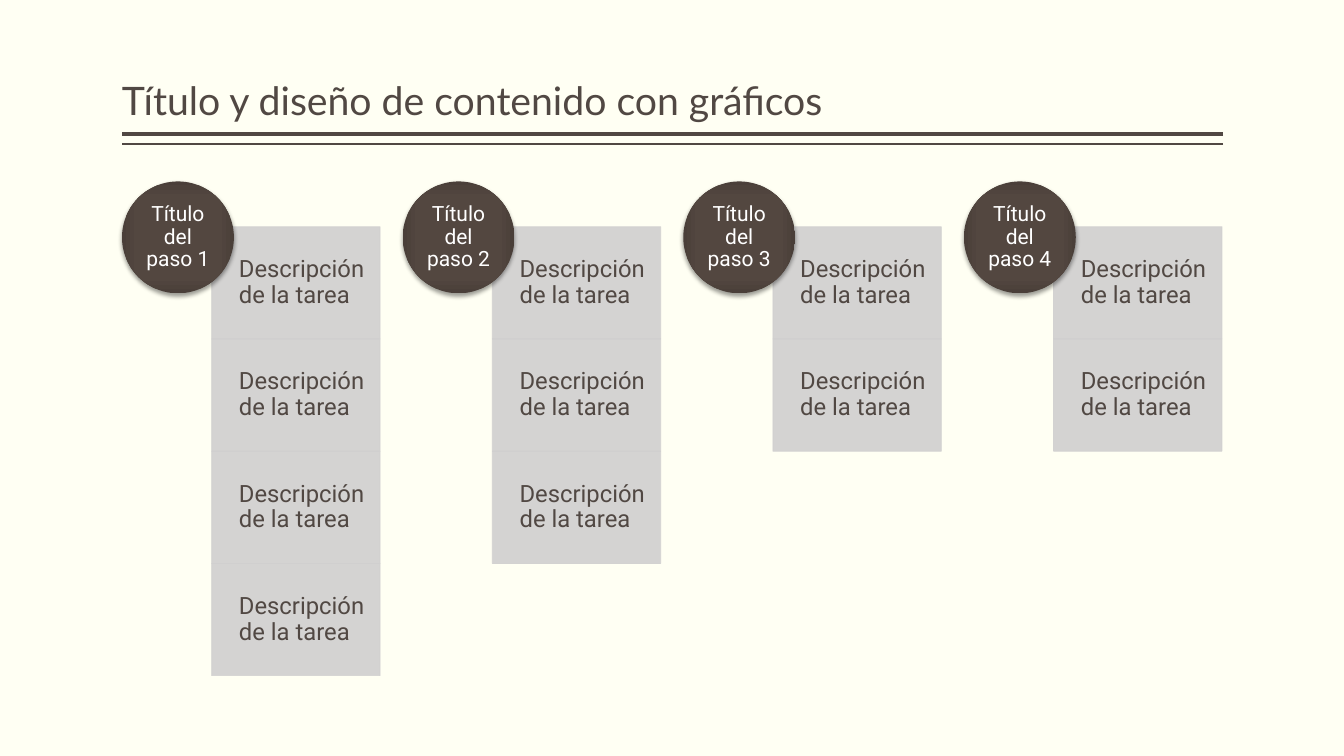
from lxml.etree import SubElement
from pptx import Presentation
from pptx.dml.color import RGBColor
from pptx.enum.shapes import MSO_CONNECTOR, MSO_SHAPE
from pptx.enum.text import MSO_ANCHOR, PP_ALIGN
from pptx.oxml import parse_xml
from pptx.oxml.ns import nsdecls, qn
from pptx.util import Inches, Pt

COLORS = {
    "background": "FFFFF3",
    "ink": "514843",
    "card": "D0CFCF",
    "circle_text": "FFFFFF",
    "shadow": "000000",
}
CIRCLE_GRADIENT = [(0, "544740"), (71, "534740"), (100, "4A3F39")]

LEFT, RIGHT = 1.21, 12.13
STEP_PITCH = (9.56 - LEFT) / 3
CIRCLE_TOP, CIRCLE_SIZE = 1.8, 1.11
CARD_OFFSET, CARD_TOP, CARD_WIDTH = 0.89, 2.25, 1.67
CARD_HEIGHT = (5.59 - CARD_TOP) / 3

TASKS_PER_STEP = [4, 3, 2, 2]
TASK_TEXT = "Descripción de la tarea"

# Margins are in inches: left, top, right, bottom
TITLE_FORMAT = {
    "font": {"name": "Lato", "size": Pt(28)},
    "color": "ink",
    "paragraph": {"alignment": PP_ALIGN.LEFT, "line_spacing": 0.9},
    "anchor": MSO_ANCHOR.BOTTOM,
    "margins": (0, 0.05, 0, 0.05),
}
CARD_FORMAT = {
    "font": {"name": "Roboto", "size": Pt(17)},
    "color": "ink",
    "paragraph": {"alignment": PP_ALIGN.LEFT, "line_spacing": 0.9},
    "anchor": MSO_ANCHOR.MIDDLE,
    "margins": (0.27, 0.13, 0.13, 0.13),
}
CIRCLE_FORMAT = {
    "font": {"name": "Roboto", "size": Pt(15)},
    "color": "circle_text",
    "paragraph": {"alignment": PP_ALIGN.CENTER, "line_spacing": 0.9},
    "anchor": MSO_ANCHOR.MIDDLE,
    "margins": (0, 0, 0, 0),
}


def rgb(name):
    return RGBColor.from_string(COLORS[name])


def set_attributes(target, values):
    for name, value in values.items():
        setattr(target, name, value)


def write_text(shape, text, text_format):
    frame = shape.text_frame
    sides = ("margin_left", "margin_top", "margin_right", "margin_bottom")
    margins = map(Inches, text_format["margins"])
    set_attributes(frame, dict(zip(sides, margins)))
    set_attributes(frame, {"word_wrap": True,
                           "vertical_anchor": text_format["anchor"]})
    paragraph = frame.paragraphs[0]
    set_attributes(paragraph, text_format["paragraph"])
    run = paragraph.add_run()
    run.text = text
    set_attributes(run.font, text_format["font"])
    run.font.color.rgb = rgb(text_format["color"])


def add_plain_shape(slide, kind, left, top, width, height):
    shape = slide.shapes.add_shape(
        kind, Inches(left), Inches(top), Inches(width), Inches(height))
    shape.shadow.inherit = False
    return shape


def add_title(slide, text):
    box = slide.shapes.add_textbox(
        Inches(LEFT), Inches(0.08), Inches(RIGHT - LEFT), Inches(1.2))
    write_text(box, text, TITLE_FORMAT)


def add_rule(slide, top, weight):
    rule = slide.shapes.add_connector(
        MSO_CONNECTOR.STRAIGHT,
        Inches(RIGHT), Inches(top), Inches(LEFT), Inches(top))
    rule.line.color.rgb = rgb("ink")
    rule.line.width = Pt(weight)
    SubElement(rule._element.spPr, qn("a:effectLst"))


def add_card(slide, left, top):
    card = add_plain_shape(
        slide, MSO_SHAPE.RECTANGLE, left, top, CARD_WIDTH, CARD_HEIGHT)
    card.fill.solid()
    card.fill.fore_color.rgb = rgb("card")
    card.line.color.rgb = rgb("card")
    card.line.width = Pt(0.5)
    # Fill and outline are both 90 % opaque
    for color in card._element.spPr.iter(qn("a:srgbClr")):
        SubElement(color, qn("a:alpha"), val="90000")
    write_text(card, TASK_TEXT, CARD_FORMAT)


def apply_circle_gradient(shape):
    stops = "".join(
        f'<a:gs pos="{position * 1000}"><a:srgbClr val="{color}"/></a:gs>'
        for position, color in CIRCLE_GRADIENT)
    gradient = parse_xml(
        f'<a:gradFill {nsdecls("a")} rotWithShape="1">'
        f'<a:gsLst>{stops}</a:gsLst><a:path path="rect">'
        '<a:fillToRect l="50000" t="50000" r="50000" b="50000"/>'
        '</a:path></a:gradFill>')
    shape.fill.background()
    properties = shape._element.spPr
    properties.replace(properties.find(qn("a:noFill")), gradient)


def apply_soft_shadow(shape):
    effects = shape._element.spPr.find(qn("a:effectLst"))
    shadow = SubElement(
        effects, qn("a:outerShdw"), blurRad=str(Pt(3.1)), dist=str(Pt(2)),
        dir="5400000", algn="ctr", rotWithShape="0")
    color = SubElement(shadow, qn("a:srgbClr"), val=COLORS["shadow"])
    SubElement(color, qn("a:alpha"), val="38000")


def add_circle(slide, left, text):
    circle = add_plain_shape(
        slide, MSO_SHAPE.OVAL, left, CIRCLE_TOP, CIRCLE_SIZE, CIRCLE_SIZE)
    apply_circle_gradient(circle)
    circle.line.fill.background()
    apply_soft_shadow(circle)
    write_text(circle, text, CIRCLE_FORMAT)


def add_step(slide, index, task_count):
    left = LEFT + index * STEP_PITCH
    for row in range(task_count):
        add_card(slide, left + CARD_OFFSET, CARD_TOP + row * CARD_HEIGHT)
    add_circle(slide, left, f"Título del paso {index + 1}")


def main():
    presentation = Presentation()
    presentation.slide_width = Inches(13.33)
    presentation.slide_height = Inches(7.5)
    slide = presentation.slides.add_slide(presentation.slide_layouts[6])
    slide.background.fill.solid()
    slide.background.fill.fore_color.rgb = rgb("background")

    # Heading with its double rule
    add_rule(slide, 1.33, 3)
    add_rule(slide, 1.43, 1)
    add_title(slide, "Título y diseño de contenido con gráficos")

    # Steps, each a circle over a column of task cards
    for index, task_count in enumerate(TASKS_PER_STEP):
        add_step(slide, index, task_count)

    presentation.save("out.pptx")


if __name__ == "__main__":
    main()
